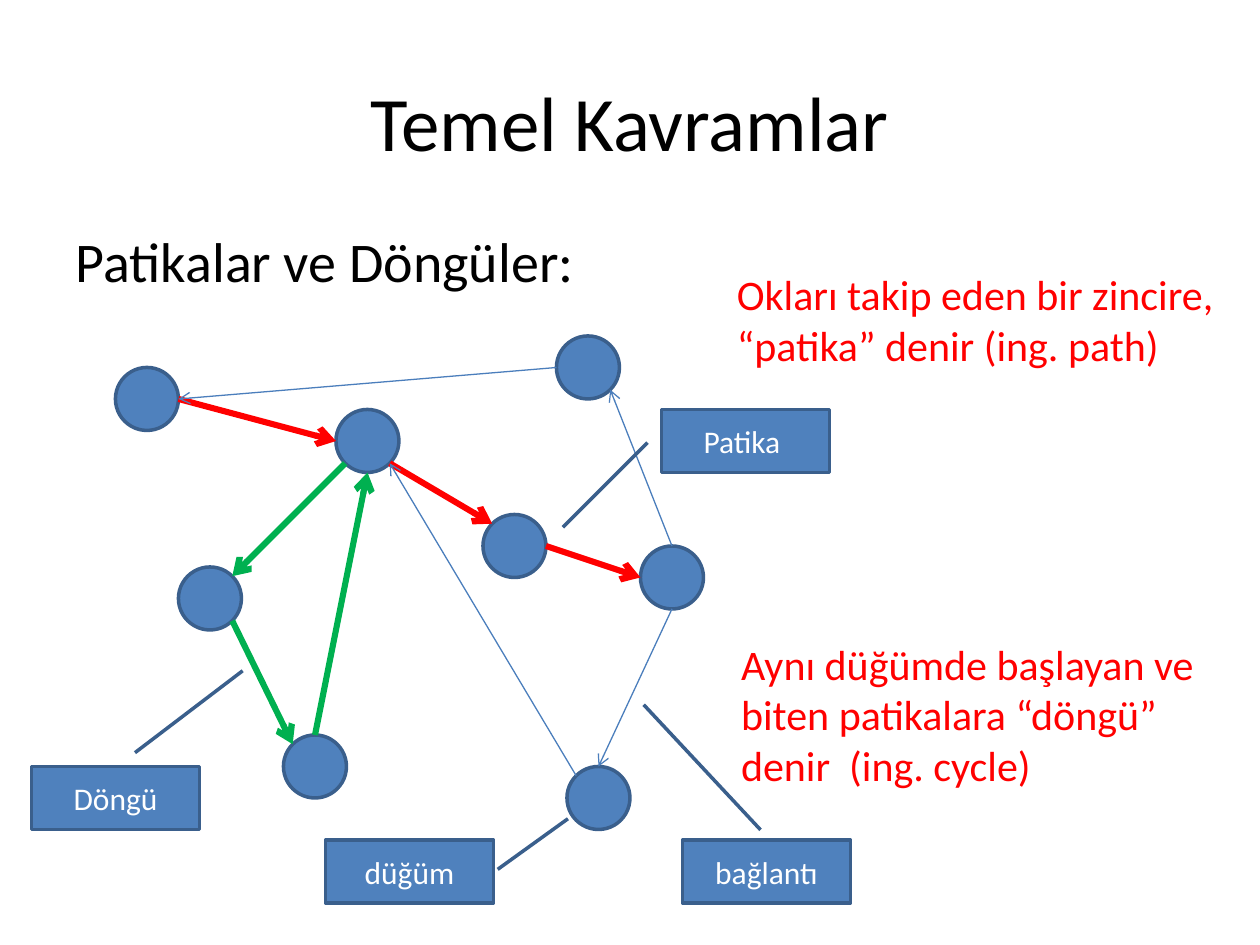
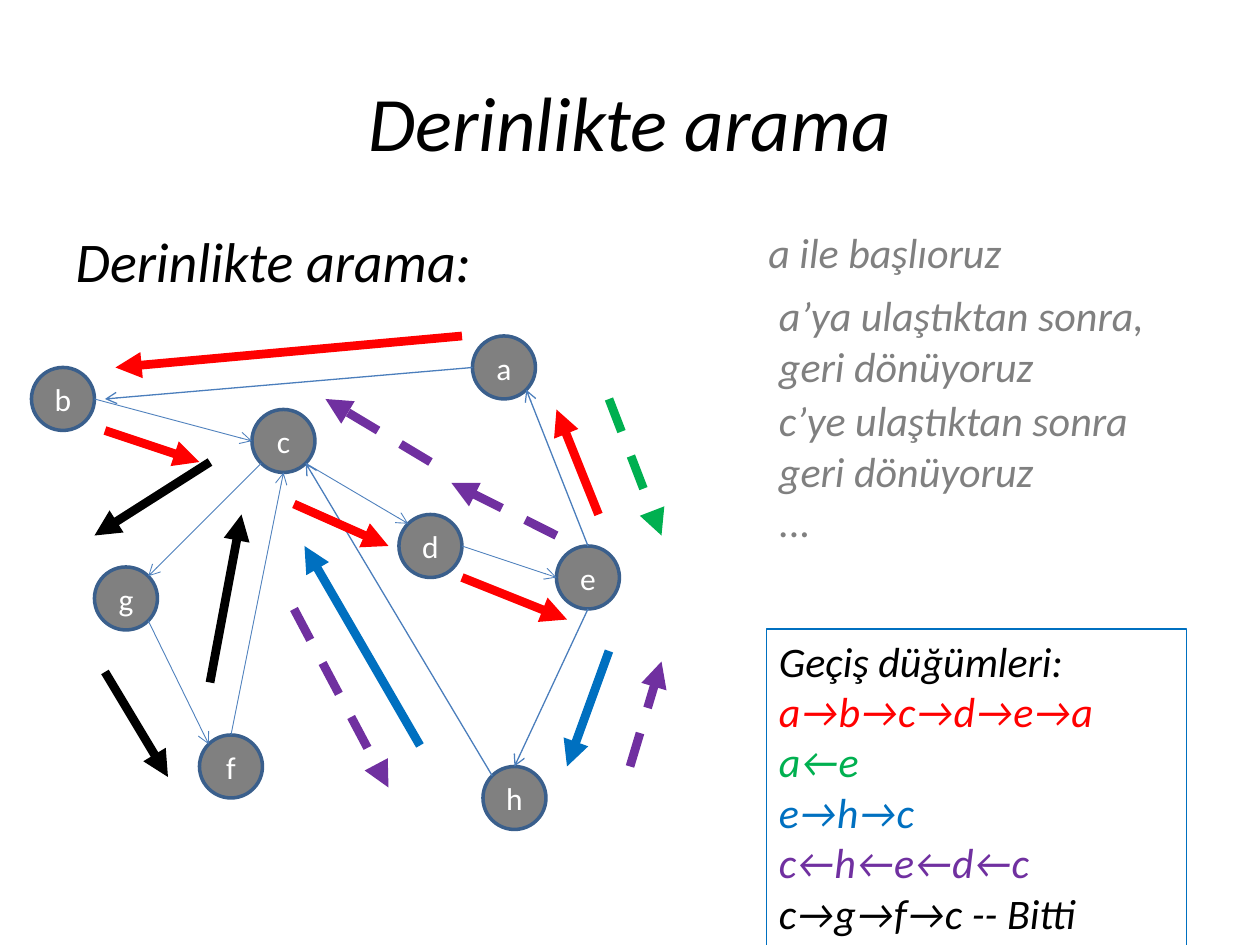
from dataclasses import dataclass
from math import cos, radians, sin

from lxml.etree import SubElement
from pptx import Presentation
from pptx.dml.color import RGBColor as RGB
from pptx.enum.dml import MSO_LINE as Dash
from pptx.enum.shapes import MSO_CONNECTOR as Link, MSO_SHAPE as Kind
from pptx.enum.text import MSO_ANCHOR as Anchor, MSO_AUTO_SIZE as Fit, PP_ALIGN as Align
from pptx.oxml.ns import qn
from pptx.util import Inches, Pt

CELL = 1 / 12  # the slide is a grid of 120 columns by 90 rows
SIDE = 6  # node diameter in cells


@dataclass(frozen=True)
class Theme:
    font: str = "Calibri"
    head: int = 44
    body: int = 32
    note: int = 24
    tag: int = 18
    black: str = "000000"
    white: str = "FFFFFF"
    gray: str = "808080"
    red: str = "FF0000"
    green: str = "00B050"
    blue: str = "0070C0"
    purple: str = "7030A0"
    fill: str = "4F81BD"
    edge: str = "3A5F8C"
    link: str = "4B7EBC"


T = Theme()

# Node corners, in cells from the corner of the graph
NODES = {"b": (0, 3), "c": (21, 7), "g": (6, 22), "d": (35, 17),
         "a": (42, 0), "e": (50, 20), "f": (16, 38), "h": (43, 41)}
# Edges: nodes, side left, side reached
EDGES = [("bc", "e", "w"), ("cd", "se", "nw"), ("cg", "sw", "ne"), ("fc", "n", "s"),
         ("gf", "se", "nw"), ("de", "e", "w"), ("ea", "n", "se"), ("eh", "s", "n"),
         ("ab", "w", "e"), ("hc", "nw", "se")]
SIDES = ["e", "se", "s", "sw", "w", "nw", "n", "ne"]
PATH, CYCLE = ["bc", "cd", "de"], ["cg", "fc", "gf"]


# Shared helpers
def grid(*cells):
    return [Inches(n * CELL) for n in cells]


def style(para, size, color, italic=False):
    font = para.font
    font.name, font.size, font.italic = T.font, Pt(size), italic
    font.color.rgb = RGB.from_string(color)


def ink(line, color, width):
    line.color.rgb = RGB.from_string(color)
    line.width = Pt(width)


def arrow(slide, ends, color, width, tip, dash=False):
    item = slide.shapes.add_connector(Link.STRAIGHT, *grid(*ends))
    ink(item.line, color, width)
    if dash:
        item.line.dash_style = Dash.DASH
    props = item._element.spPr
    SubElement(props.find(qn("a:ln")), qn("a:tailEnd"), type=tip)
    SubElement(props, qn("a:effectLst"))


def block(slide, kind, box, fill, text=""):
    item = slide.shapes.add_shape(kind, *grid(*box))
    item.shadow.inherit = False
    item.fill.solid()
    item.fill.fore_color.rgb = RGB.from_string(fill)
    ink(item.line, T.edge, 2)
    if text:
        frame = item.text_frame
        frame.text, frame.vertical_anchor = text, Anchor.MIDDLE
        para = frame.paragraphs[0]
        para.alignment = Align.CENTER
        style(para, T.tag, T.white)
    return item


def note(slide, box, rows, italic=False, wrap=True):
    item = slide.shapes.add_textbox(*grid(*box))
    frame = item.text_frame
    frame.word_wrap, frame.auto_size = wrap, Fit.SHAPE_TO_FIT_TEXT
    frame.text = "\n".join(text for text, _ in rows)
    for para, (_, color) in zip(frame.paragraphs, rows):
        style(para, T.note, color, italic)
    return item


def place(item, box, text, size, italic):
    item.left, item.top, item.width, item.height = grid(*box)
    item.text_frame.text = text
    para = item.text_frame.paragraphs[0]
    style(para, size, T.black, italic)
    return para


def start(deck, title, lead, italic=False):
    slide = deck.slides.add_slide(deck.slide_layouts[1])
    head, body = slide.placeholders
    place(head, (6, 4, 108, 15), title, T.head, italic).alignment = Align.CENTER
    para = place(body, (6, 21, 108, 59.4), lead, T.body, italic)
    SubElement(para._p.get_or_add_pPr(), qn("a:buNone"))
    return slide


# The directed graph
def port(box, name, side):
    turn = radians(45 * SIDES.index(side))
    left, top = NODES[name]
    half = SIDE / 2
    return (box[0] + left + half * (1 + cos(turn)),
            box[1] + top + half * (1 + sin(turn)))


def graph(slide, box, fill, looks, named=False, gap=0):
    for name, (left, top) in NODES.items():
        spot = (box[0] + left, box[1] + top, SIDE, SIDE)
        block(slide, Kind.FLOWCHART_CONNECTOR, spot, fill, name if named else "")
    for pair, out, into in EDGES:
        x, y = port(box, pair[1], into)
        if pair == "ab":
            x += gap
        color, width = looks.get(pair, (T.link, 0.75))
        arrow(slide, (*port(box, pair[0], out), x, y), color, width, "arrow")


def labels(slide, box):
    # Place in the box, text, then where the leader starts and ends (y, x)
    tags = [(20, 48, "düğüm", (0.467, 1.025, -0.337, 1.443)),
            (54, 48, "bağlantı", (-0.16, 0.465, -2.147, -0.231)),
            (52, 7, "Patika ", (0.526, -0.083, 1.871, -0.587)),
            (-8, 41, "Döngü", (-0.219, 0.616, -1.519, 1.257))]
    for left, top, text, lead in tags:
        spot = (box[0] + left, box[1] + top, 16, 6)
        item = block(slide, Kind.LINE_CALLOUT_1, spot, T.fill, text)
        for i, value in enumerate(lead):
            item.adjustments[i] = value


def steps(slide, box):
    # Colour, dashed, and the ends of each arrow in the box
    walks = [
        (T.red, False, [(41, 0, 8, 3), (7, 9, 16, 12), (25, 16, 34, 20),
                        (41, 23, 51, 27), (54, 17, 50, 7)]),
        (T.green, True, [(55, 6, 60, 19)]),
        (T.blue, False, [(55, 30, 51, 41), (37, 39, 26, 20)]),
        (T.purple, True, [(25, 26, 34, 43), (57, 41, 60, 31),
                          (50, 19, 40, 14), (38, 12, 28, 6)]),
        (T.black, False, [(17, 12, 6, 19), (7, 32, 13, 42), (17, 33, 20, 17)])]
    x, y = box
    for color, dash, moves in walks:
        for x1, y1, x2, y2 in moves:
            arrow(slide, (x + x1, y + y1, x + x2, y + y2), color, 5, "triangle", dash)


# Slide: paths and cycles
def basics(deck):
    slide = start(deck, "Temel Kavramlar", "Patikalar ve Döngüler:")
    box = (11, 32)
    looks = {pair: (T.red, 3.5) for pair in PATH}
    looks |= {pair: (T.green, 3.5) for pair in CYCLE}
    graph(slide, box, T.fill, looks)
    labels(slide, box)
    note(slide, (69, 25, 48, 11),
         [("Okları takip eden bir zincire, “patika” denir (ing. path)", T.red)])
    note(slide, (69.4, 60.2, 45.6, 15.7),
         [("Aynı düğümde başlayan ve biten patikalara “döngü” denir  (ing. cycle)", T.red)])


# Slide: depth-first search
def search(deck):
    slide = start(deck, "Derinlikte arama", "Derinlikte arama:", True)
    box = (3, 32)
    looks = {pair: (T.fill, 0.5) for pair in PATH + CYCLE}
    graph(slide, box, T.gray, looks, named=True, gap=1)
    order = note(slide, (73, 59.9, 40, 30.2),
                 [("Geçiş düğümleri:", T.black), ("a→b→c→d→e→a", T.red),
                  ("a←e", T.green), ("e→h→c", T.blue),
                  ("c←h←e←d←c", T.purple), ("c→g→f→c -- Bitti", T.black)], True)
    ink(order.line, T.blue, 0.75)
    steps(slide, box)
    note(slide, (72, 21, 24.8, 6), [("a ile başlıoruz", T.gray)], True, wrap=False)
    note(slide, (73, 27, 41.6, 11),
         [("a’ya ulaştıktan sonra, geri dönüyoruz", T.gray)], True)
    note(slide, (73, 37, 41.6, 20.6),
         [("c’ye ulaştıktan sonra geri dönüyoruz", T.gray), ("...", T.gray)], True)


def main():
    deck = Presentation()
    deck.slide_width, deck.slide_height = grid(120, 90)
    basics(deck)
    search(deck)
    deck.save("out.pptx")


if __name__ == "__main__":
    main()
